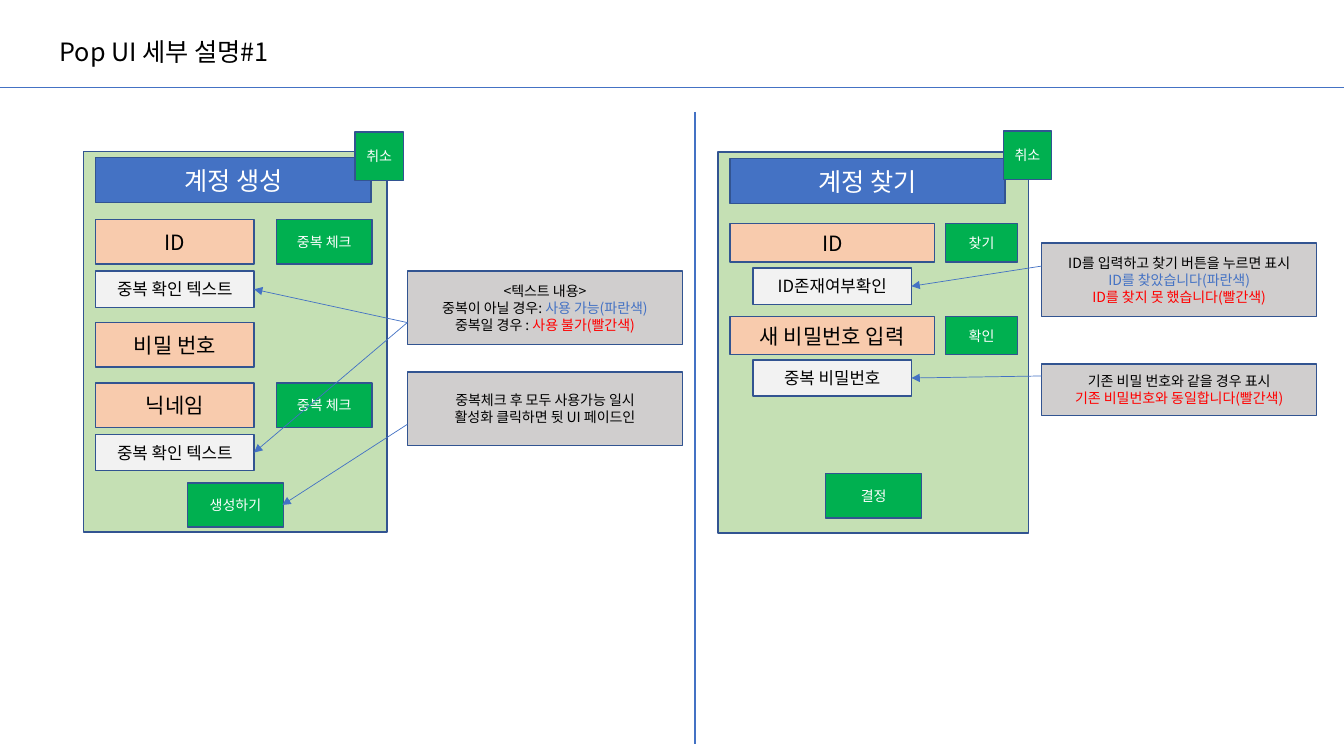
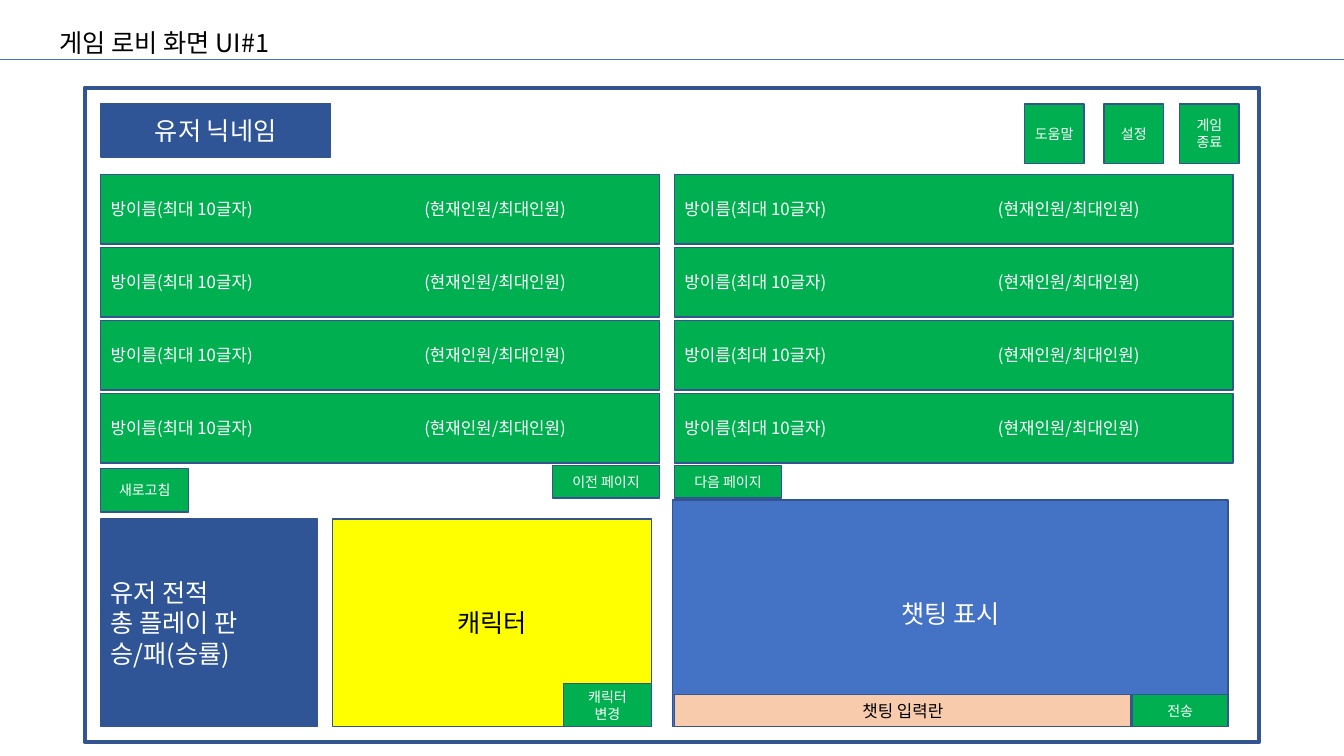
from lxml import etree
from pptx import Presentation
from pptx.dml.color import RGBColor
from pptx.enum.shapes import MSO_CONNECTOR, MSO_SHAPE
from pptx.enum.text import MSO_ANCHOR, MSO_AUTO_SIZE, PP_ALIGN
from pptx.oxml.ns import qn
from pptx.util import Inches, Pt

RECTANGLE, STRAIGHT = MSO_SHAPE.RECTANGLE, MSO_CONNECTOR.STRAIGHT
LEFT, CENTER, MIDDLE = PP_ALIGN.LEFT, PP_ALIGN.CENTER, MSO_ANCHOR.MIDDLE
FONT = "Noto Sans CJK KR"
WIDTH, HEIGHT = 13.33, 7.5
BLACK, WHITE, RED, BLUE = "000000", "FFFFFF", "FF0000", "4472C4"
OUTLINE = "325491"

# Style of each kind of box: fill, text size, text colour
STYLES = {
    "frame": (WHITE, 18, BLACK),
    "panel": ("C5E0B4", 18, BLACK),
    "header": (BLUE, 18, WHITE),
    "user": ("2F5597", 18, WHITE),
    "character": ("FFFF00", 18, BLACK),
    "field": ("F8CBAD", 15, BLACK),
    "entry": ("F8CBAD", 12, BLACK),
    "status": ("F2F2F2", 12, BLACK),
    "button": ("00B050", 10, WHITE),
    "room": ("00B050", 12, WHITE),
    "note": ("D0CECE", 10, BLACK),
}


def write(shape, lines, size, color, align):
    """Fill a shape with lines; a line is a string or a list of (text, colour) runs."""
    frame = shape.text_frame
    frame.vertical_anchor = MIDDLE
    for number, line in enumerate(lines):
        paragraph = frame.add_paragraph() if number else frame.paragraphs[0]
        paragraph.alignment = align
        font = paragraph.font
        font.size, font.name = Pt(size), FONT
        font.color.rgb = RGBColor.from_string(color)
        etree.SubElement(font._rPr, qn("a:ea"), typeface=FONT)
        for text, run_color in [(line, color)] if isinstance(line, str) else line:
            run = paragraph.add_run()
            run.text = text
            if run_color != color:
                run.font.color.rgb = RGBColor.from_string(run_color)


def box(slide, kind, left, top, width, height, *lines, align=CENTER, border=1):
    fill, size, color = STYLES[kind]
    shape = slide.shapes.add_shape(
        RECTANGLE, Inches(left), Inches(top), Inches(width), Inches(height))
    shape.shadow.inherit = False
    shape.fill.solid()
    shape.fill.fore_color.rgb = RGBColor.from_string(fill)
    shape.line.color.rgb = RGBColor.from_string(OUTLINE)
    shape.line.width = Pt(border)
    write(shape, lines, size, color, align)
    return shape


presentation = Presentation()
presentation.slide_width, presentation.slide_height = Inches(WIDTH), Inches(HEIGHT)

# Titles: text, top, width, height of the rule below
slides = []
for text, top, width, rule in [("Pop UI 세부 설명#1", 0.31, 2.45, 0.87),
                               ("게임 로비 화면 UI#1", 0.22, 2.52, 0.59)]:
    slide = presentation.slides.add_slide(presentation.slide_layouts[5])
    title = slide.shapes.title
    title.left, title.top = Inches(0.49), Inches(top)
    title.width, title.height = Inches(width), Inches(0.4)
    title.text_frame.word_wrap = False
    title.text_frame.auto_size = MSO_AUTO_SIZE.NONE
    write(title, [text], 18, BLACK, LEFT)
    slides.append((slide, rule))
popup, lobby = [slide for slide, rule in slides]

# Popup: notes
NOTE_WIDTH = 2.73
for left, top, height, lines in [
    (4.04, 2.69, 0.73, ["<텍스트 내용>",
                        [("중복이 아닐 경우: ", BLACK), ("사용 가능(파란색)", BLUE)],
                        [("중복일 경우 : ", BLACK), ("사용 불가(빨간색)", RED)]]),
    (4.04, 3.69, 0.73, ["중복체크 후 모두 사용가능 일시", "활성화 클릭하면 뒷 UI 페이드인"]),
    (10.33, 2.41, 0.73, ["ID를 입력하고 찾기 버튼을 누르면 표시",
                         [("ID를 찾았습니다(파란색)", BLUE)],
                         [("ID를 찾지 못 했습니다(빨간색)", RED)]]),
    (10.33, 3.61, 0.51, ["기존 비밀 번호와 같을 경우 표시",
                         [("기존 비밀번호와 동일합니다(빨간색)", RED)]]),
]:
    box(popup, "note", left, top, NOTE_WIDTH, height, *lines)

# Popup: panel, header and cancel button of each dialog
for left, top, width, name, cancel_left, cancel_top in [
    (0.83, 1.5, 3.01, "계정 생성", 3.52, 1.31),
    (7.12, 1.51, 3.08, "계정 찾기", 9.95, 1.3),
]:
    box(popup, "panel", left, top, width, 3.78)
    box(popup, "header", left + 0.12, top + 0.06, 2.73, 0.45, name)
    box(popup, "button", cancel_left, cancel_top, 0.48, 0.48, "취소")

# Popup: account creation form
for top, name in [(2.18, "ID"), (3.2, "비밀 번호"), (3.8, "닉네임")]:
    box(popup, "field", 0.95, top, 1.57, 0.44, name)
for top in (2.18, 3.8):
    box(popup, "button", 2.74, top, 0.95, 0.44, "중복 체크")
    box(popup, "status", 0.95, top + 0.51, 1.57, 0.36, "중복 확인 텍스트")
box(popup, "button", 1.86, 4.79, 0.95, 0.44, "생성하기")

# Popup: account search form
for top, name, action, status_top, status in [
    (2.22, "ID", "찾기", 2.66, "ID존재여부확인"),
    (3.14, "새 비밀번호 입력", "확인", 3.57, "중복 비밀번호"),
]:
    box(popup, "field", 7.24, top, 2.03, 0.38, name)
    box(popup, "button", 9.38, top, 0.71, 0.38, action)
    box(popup, "status", 7.47, status_top, 1.57, 0.36, status)
box(popup, "button", 8.19, 4.7, 0.95, 0.44, "결정")

# Lobby: frame, user name and top buttons
box(lobby, "frame", 0.84, 0.87, 11.65, 6.49, border=3)
box(lobby, "user", 1, 1.03, 2.28, 0.53, "유저 닉네임")
for left, lines in [(10.16, ["도움말"]), (10.95, ["설정"]), (11.7, ["게임", "종료"])]:
    box(lobby, "button", left, 1.03, 0.59, 0.59, *lines)

# Lobby: two columns of four rooms, head count set by a tab stop
COLUMNS = (1, 6.69)
ROOM_TOP, ROOM_PITCH = 1.73, 0.724
for left in COLUMNS:
    for row in range(4):
        room = box(lobby, "room", left, ROOM_TOP + row * ROOM_PITCH, 5.54, 0.69,
                   "방이름(최대 10글자)\t(현재인원/최대인원)", align=LEFT)
        properties = room.text_frame.paragraphs[0]._p.get_or_add_pPr()
        tabs = etree.Element(qn("a:tabLst"))
        etree.SubElement(tabs, qn("a:tab"), pos=str(Inches(3.11)), algn="l")
        properties.insert(0, tabs)

# Lobby: page buttons
box(lobby, "button", 5.48, 4.62, 1.06, 0.32, "이전 페이지")
box(lobby, "button", COLUMNS[1], 4.62, 1.06, 0.32, "다음 페이지")
box(lobby, "button", COLUMNS[0], 4.65, 0.87, 0.43, "새로고침")

# Lobby: record, character and chat
box(lobby, "user", 1, 5.15, 2.15, 2.06,
    "유저 전적", "총 플레이 판", "승/패(승률)", align=LEFT)
box(lobby, "character", 3.3, 5.15, 3.16, 2.06, "캐릭터")
box(lobby, "button", 5.59, 6.78, 0.87, 0.43, "캐릭터", "변경")
box(lobby, "header", 6.67, 4.96, 5.51, 2.25, "챗팅 표시")
box(lobby, "entry", 6.69, 6.89, 4.53, 0.32, "챗팅 입력란")
box(lobby, "button", 11.23, 6.89, 0.95, 0.32, "전송")

# Lines: slide, start, end, width, arrowhead
lines = [(slide, (0, rule), (WIDTH, rule), 0.5, False) for slide, rule in slides]
lines.append((popup, (6.89, 1.11), (6.89, 7.38), 1.5, False))
lines += [(popup, start, end, 0.5, True) for start, end in [
    ((4.04, 3.2), (2.52, 2.87)),
    ((4.04, 3.2), (2.52, 4.49)),
    ((4.04, 4.21), (2.8, 5.01)),
    ((10.33, 2.64), (9.04, 2.84)),
    ((10.33, 3.73), (9.04, 3.75)),
]]
for slide, start, end, width, arrow in lines:
    connector = slide.shapes.add_connector(
        STRAIGHT, *[Inches(length) for length in start + end])
    connector.line.color.rgb = RGBColor.from_string(BLUE)
    connector.line.width = Pt(width)
    if arrow:
        etree.SubElement(connector.line._get_or_add_ln(), qn("a:tailEnd"), type="triangle")
    etree.SubElement(connector._element.spPr, qn("a:effectLst"))

presentation.save("out.pptx")
